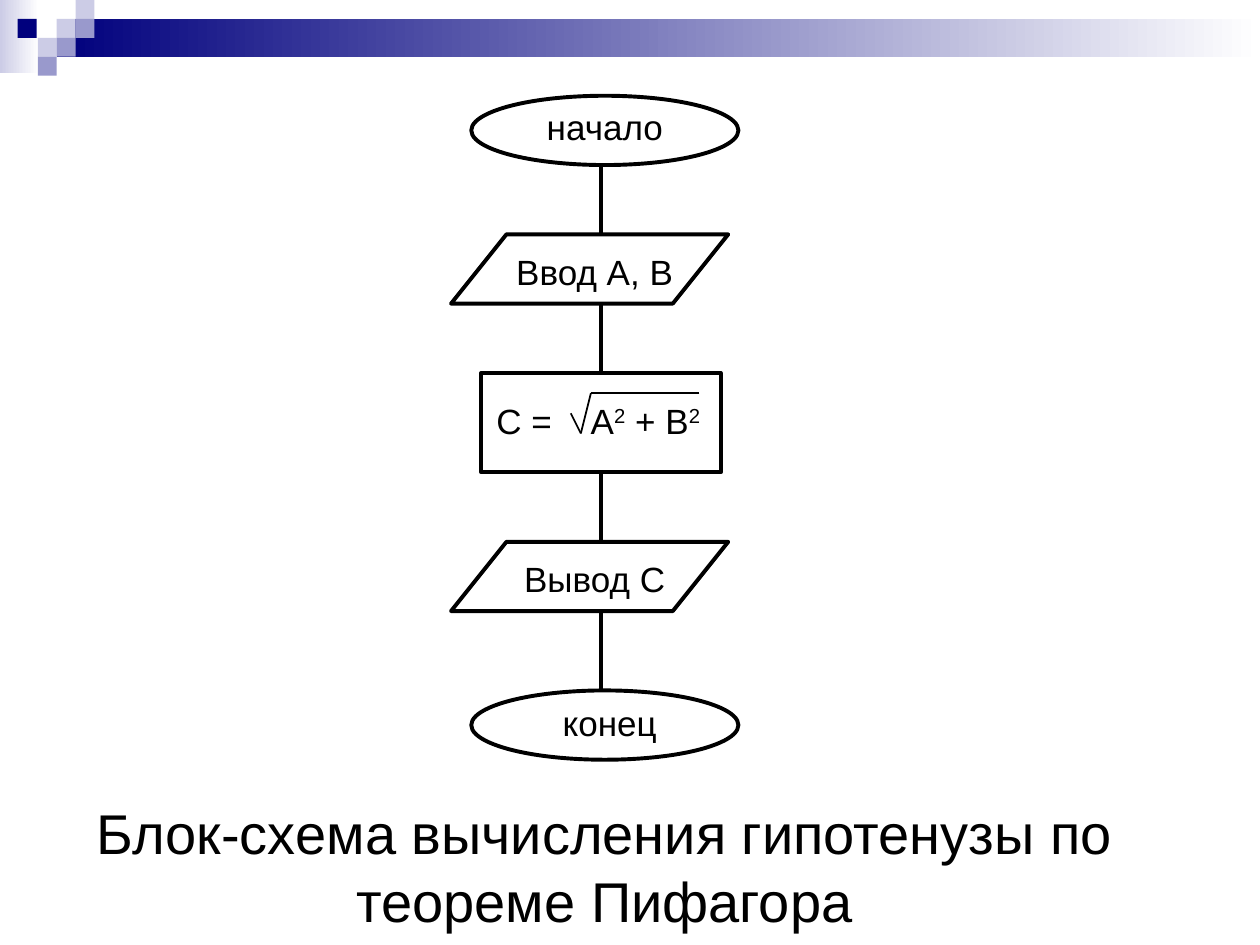
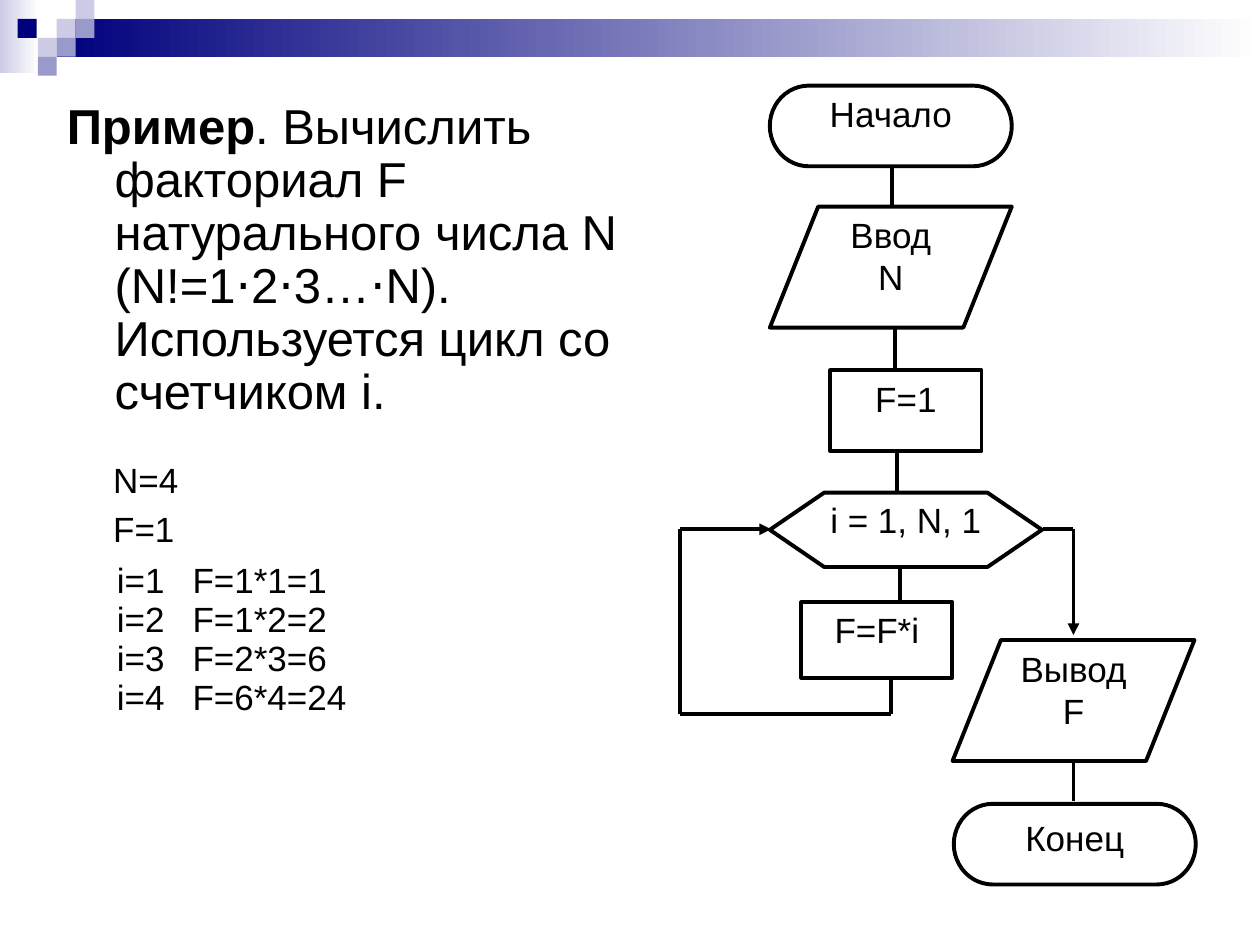
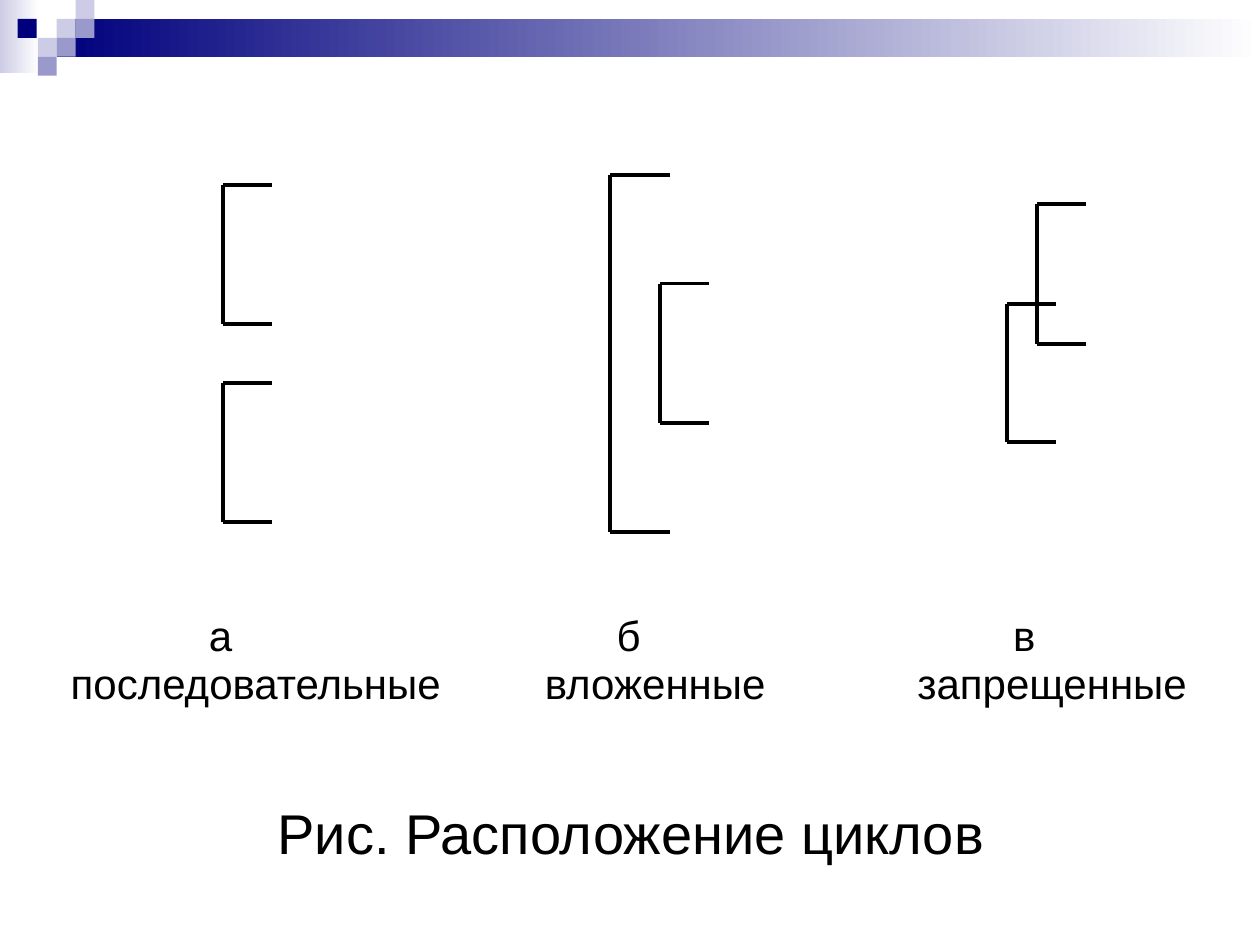
"""Builds three slides on flowcharts and loops with python-pptx."""

from dataclasses import dataclass
from typing import Any, NamedTuple, Sequence

import lxml.etree
import pptx
import pptx.dml.color
import pptx.enum.shapes
import pptx.enum.text
import pptx.oxml.ns
import pptx.util

Inches = pptx.util.Inches
SHAPE = pptx.enum.shapes.MSO_SHAPE
ALIGN = pptx.enum.text.PP_ALIGN
ANCHOR = pptx.enum.text.MSO_ANCHOR
qn = pptx.oxml.ns.qn

COLOURS = {
    "ink": "000000",
    "paper": "FFFFFF",
    "navy": "00007D",
    "lilac": "9999CC",
    "mist": "CCCCE6",
}
FONT = {"name": "Arial", "bold": False}
FRAME = {
    "auto_size": pptx.enum.text.MSO_AUTO_SIZE.NONE,
    "vertical_anchor": ANCHOR.TOP,
    "word_wrap": True,
    "margin_left": Inches(0.1),
    "margin_right": Inches(0.1),
    "margin_top": Inches(0.05),
    "margin_bottom": Inches(0.05),
}
THICK = 2.25
THIN = 1
SQUARE = 0.15


class Place(NamedTuple):
    left: float
    top: float
    width: float
    height: float


class Span(NamedTuple):
    text: str
    bold: bool = False
    raised: bool = False


@dataclass(frozen=True)
class Block:
    place: Place
    colour: str
    faded: bool = False


@dataclass(frozen=True)
class Node:
    kind: Any
    place: Place
    lines: tuple[str, ...]
    nudge_x: float = 0
    nudge_y: float = 0
    filled: bool = True


@dataclass(frozen=True)
class Route:
    points: tuple[tuple[float, float], ...]
    width: float = THICK
    arrow: bool = False


@dataclass(frozen=True)
class Bracket:
    left: float
    top: float
    bottom: float
    arm: float = 0.39


@dataclass(frozen=True)
class Caption:
    letter: str
    letter_centre: float
    word: str
    word_centre: float


BAND = [
    Block(Place(0, 0, 0.31, 0.58), "mist", True),
    Block(Place(0.45, 0.15, 9.55, 0.3), "navy", True),
] + [
    Block(Place(left, top, SQUARE, SQUARE), colour)
    for left, top, colour in [
        (0.45, 0.15, "mist"), (0.6, 0, "mist"), (0.6, 0.15, "lilac"),
        (0.3, 0.3, "mist"), (0.14, 0.15, "navy"), (0.45, 0.3, "lilac"),
        (0.3, 0.45, "lilac"),
    ]
]

FORMULA = Node(SHAPE.RECTANGLE, Place(3.82, 2.96, 1.9, 0.79), ("С =",), -0.61, -0.02, False)
HYPOTENUSE_NODES = [
    Node(SHAPE.OVAL, Place(3.74, 0.76, 2.12, 0.55), ("начало",), 0, -0.03, False),
    Node(SHAPE.FLOWCHART_DATA, Place(3.58, 1.86, 2.2, 0.55), ("Ввод А, В",), 0.04, 0.02, False),
    Node(SHAPE.FLOWCHART_DATA, Place(3.58, 4.3, 2.2, 0.55), ("Вывод С",), 0.04, 0.02, False),
    Node(SHAPE.OVAL, Place(3.74, 5.48, 2.12, 0.55), ("конец",), 0.04, -0.02, False),
]
AXIS = 4.77
RADICAL = Route(((5.55, 3.12), (4.69, 3.12), (4.61, 3.44), (4.53, 3.28)), THIN)
RADICAND = [Span("А"), Span("2", raised=True), Span(" + В"), Span("2", raised=True)]

FACTORIAL_NODES = [
    Node(SHAPE.FLOWCHART_TERMINATOR, Place(6.11, 0.68, 1.92, 0.64), ("Начало",), 0, -0.1),
    Node(SHAPE.FLOWCHART_DATA, Place(6.11, 1.64, 1.92, 0.96), ("Ввод", "N"), 0, -0.09),
    Node(SHAPE.RECTANGLE, Place(6.59, 2.94, 1.2, 0.64), ("F=1",), 0, -0.1),
    Node(SHAPE.FLOWCHART_PREPARATION, Place(6.11, 3.91, 2.16, 0.59), ("i = 1, N, 1",), 0, -0.08, False),
    Node(SHAPE.RECTANGLE, Place(6.36, 4.78, 1.2, 0.6), ("F=F*i",), 0, -0.08),
    Node(SHAPE.FLOWCHART_DATA, Place(7.56, 5.08, 1.92, 0.96), ("Вывод", "F"), 0, -0.09),
    Node(SHAPE.FLOWCHART_TERMINATOR, Place(7.57, 6.38, 1.92, 0.64), ("Конец",), 0, -0.05),
]
FACTORIAL_ROUTES = [
    Route(((7.08, 1.32), (7.08, 1.64))),
    Route(((7.1, 2.61), (7.1, 2.93))),
    Route(((7.12, 3.58), (7.12, 3.91))),
    Route(((7.14, 4.49), (7.14, 4.79))),
    Route(((7.07, 5.37), (7.07, 5.67), (5.4, 5.67), (5.4, 4.2), (6.12, 4.2)), arrow=True),
    Route(((8.28, 4.2), (8.52, 4.2), (8.52, 5.04)), arrow=True),
    Route(((8.52, 6.04), (8.52, 6.36))),
]
EXAMPLE = [
    Span("Пример", bold=True),
    Span(
        ". Вычислить факториал F натурального числа N (N!=1⋅2⋅3…⋅N). "
        "Используется цикл со счетчиком i."
    ),
]
PRODUCTS = ["F=1*1=1", "F=1*2=2", "F=2*3=6", "F=6*4=24"]

BRACKETS = [
    Bracket(1.77, 1.47, 2.57),
    Bracket(1.77, 3.04, 4.14),
    Bracket(4.84, 1.39, 4.22, 0.48),
    Bracket(5.24, 2.25, 3.36),
    Bracket(8.23, 1.62, 2.73),
    Bracket(7.99, 2.41, 3.51),
]
CAPTIONS = [
    Caption("а", 1.75, "последовательные", 2.03),
    Caption("б", 4.99, "вложенные", 5.2),
    Caption("в", 8.13, "запрещенные", 8.35),
]


def rgb(name: str) -> pptx.dml.color.RGBColor:
    return pptx.dml.color.RGBColor.from_string(COLOURS[name])


def apply(target: Any, values: dict[str, Any]) -> None:
    for name, value in values.items():
        setattr(target, name, value)


def lengths(place: Place) -> list[int]:
    return [Inches(value) for value in place]


def write(
    frame: Any,
    lines: Sequence[Sequence[Span]],
    size: float,
    align: Any = ALIGN.CENTER,
    **changes: Any,
) -> None:
    apply(frame, {**FRAME, **changes})
    for index, spans in enumerate(lines):
        para = frame.add_paragraph() if index else frame.paragraphs[0]
        para.alignment = align
        for span in spans:
            run = para.add_run()
            run.text = span.text
            apply(run.font, {**FONT, "size": pptx.util.Pt(size), "bold": span.bold})
            run.font.color.rgb = rgb("ink")
            if span.raised:
                run.font._element.set("baseline", "30000")


def add_text(page: Any, place: Place, spans: Sequence[Span], size: float, align: Any = ALIGN.LEFT) -> None:
    box = page.shapes.add_textbox(*lengths(place))
    write(box.text_frame, [spans], size, align)


def move(holder: Any, place: Place) -> None:
    apply(holder, dict(zip(("left", "top", "width", "height"), lengths(place))))


def add_title(page: Any, place: Place, text: str) -> None:
    title = page.shapes.title
    move(title, place)
    write(title.text_frame, [[Span(text)]], 32)


def add_node(page: Any, node: Node) -> Any:
    shape = page.shapes.add_shape(node.kind, *lengths(node.place))
    shape.shadow.inherit = False
    if node.filled:
        shape.fill.solid()
        shape.fill.fore_color.rgb = rgb("paper")
    else:
        shape.fill.background()
    shape.line.color.rgb = rgb("ink")
    shape.line.width = pptx.util.Pt(THICK)
    write(
        shape.text_frame,
        [[Span(line)] for line in node.lines],
        20,
        vertical_anchor=ANCHOR.MIDDLE,
        word_wrap=False,
        margin_left=Inches(max(2 * node.nudge_x, 0)),
        margin_right=Inches(max(-2 * node.nudge_x, 0)),
        margin_top=Inches(max(2 * node.nudge_y, 0)),
        margin_bottom=Inches(max(-2 * node.nudge_y, 0)),
    )
    return shape


def add_route(page: Any, route: Route) -> list[Any]:
    lines = []
    for start, end in zip(route.points, route.points[1:]):
        line = page.shapes.add_connector(
            pptx.enum.shapes.MSO_CONNECTOR.STRAIGHT, *[Inches(value) for value in start + end]
        )
        line.line.color.rgb = rgb("ink")
        line.line.width = pptx.util.Pt(route.width)
        if route.arrow and end == route.points[-1]:
            lxml.etree.SubElement(line.line._get_or_add_ln(), qn("a:tailEnd"), type="triangle")
        lxml.etree.SubElement(line.element.spPr, qn("a:effectLst"))
        lines.append(line)
    return lines


def add_band(deck: Any, page: Any) -> None:
    group = page.shapes.add_group_shape()
    for block in BAND:
        shape = group.shapes.add_shape(SHAPE.RECTANGLE, *lengths(block.place))
        shape.shadow.inherit = False
        shape.line.fill.background()
        if block.faded:
            shape.fill.gradient()
            shape.fill.gradient_angle = 0
            for stop, colour in zip(shape.fill.gradient_stops, (block.colour, "paper")):
                stop.color.rgb = rgb(colour)
        else:
            shape.fill.solid()
            shape.fill.fore_color.rgb = rgb(block.colour)
    for number, label in enumerate(group.element.xpath(".//p:cNvPr"), 100):
        label.set("id", str(number))
    deck.slide_master.element.cSld.spTree.insert(2, group.element)


def build_hypotenuse(page: Any) -> None:
    add_title(page, Place(0.27, 6.29, 9.06, 1.17), "Блок-схема вычисления гипотенузы по теореме Пифагора")
    for node in HYPOTENUSE_NODES:
        add_node(page, node)
    formula = add_node(page, FORMULA)
    add_text(page, Place(4.59, 3.12, 1.2, 0.43), RADICAND, 20)
    add_route(page, RADICAL)
    gaps = [(1.31, 1.86), (2.41, 2.96), (3.75, 4.3), (4.85, 5.48)]
    links = [add_route(page, Route(((AXIS, top), (AXIS, bottom))))[0] for top, bottom in gaps]
    links[1].end_connect(formula, 0)
    links[2].begin_connect(formula, 2)


def build_factorial(page: Any) -> None:
    page.shapes.title.element.getparent().remove(page.shapes.title.element)
    body = page.placeholders[1]
    move(body, Place(0.43, 0.76, 4.57, 2.76))
    write(body.text_frame, [EXAMPLE], 28, ALIGN.LEFT)
    para = body.text_frame.paragraphs[0]
    para.line_spacing = 0.9
    settings = para._p.get_or_add_pPr()
    settings.set("marL", str(Inches(0.38)))
    settings.set("indent", str(Inches(-0.38)))
    lxml.etree.SubElement(settings, qn("a:buNone"))
    for node in FACTORIAL_NODES:
        add_node(page, node)
    for route in FACTORIAL_ROUTES:
        add_route(page, route)
    for top, text in [(3.59, "N=4"), (3.98, "F=1")]:
        add_text(page, Place(0.8, top, 0.8, 0.43), [Span(text)], 20)
    for step, product in enumerate(PRODUCTS):
        top = 4.38 + 0.31 * step
        add_text(page, Place(0.83, top, 0.6, 0.43), [Span(f"i={step + 1}")], 20)
        add_text(page, Place(1.43, top, 1.6, 0.43), [Span(product)], 20)


def build_loops(page: Any) -> None:
    add_title(page, Place(0.51, 6.35, 9, 0.54), "Рис. Расположение циклов")
    page.shapes.title.text_frame.paragraphs[0].line_spacing = 0.9
    for bracket in BRACKETS:
        tip = bracket.left + bracket.arm
        add_route(page, Route((
            (tip, bracket.top), (bracket.left, bracket.top),
            (bracket.left, bracket.bottom), (tip, bracket.bottom),
        )))
    width = 3.4
    for caption in CAPTIONS:
        for text, centre, top in [
            (caption.letter, caption.letter_centre, 4.79),
            (caption.word, caption.word_centre, 5.17),
        ]:
            place = Place(centre - width / 2, top, width, 0.48)
            add_text(page, place, [Span(text)], 24, ALIGN.CENTER)


def main() -> None:
    deck = pptx.Presentation()
    deck.slide_width, deck.slide_height = Inches(10), Inches(7.5)
    content, title_only = deck.slide_layouts[1], deck.slide_layouts[5]
    builders = [(title_only, build_hypotenuse), (content, build_factorial), (title_only, build_loops)]
    for index, (layout, build) in enumerate(builders):
        page = deck.slides.add_slide(layout)
        if index == 0:
            add_band(deck, page)
        build(page)
    deck.save("out.pptx")


if __name__ == "__main__":
    main()
